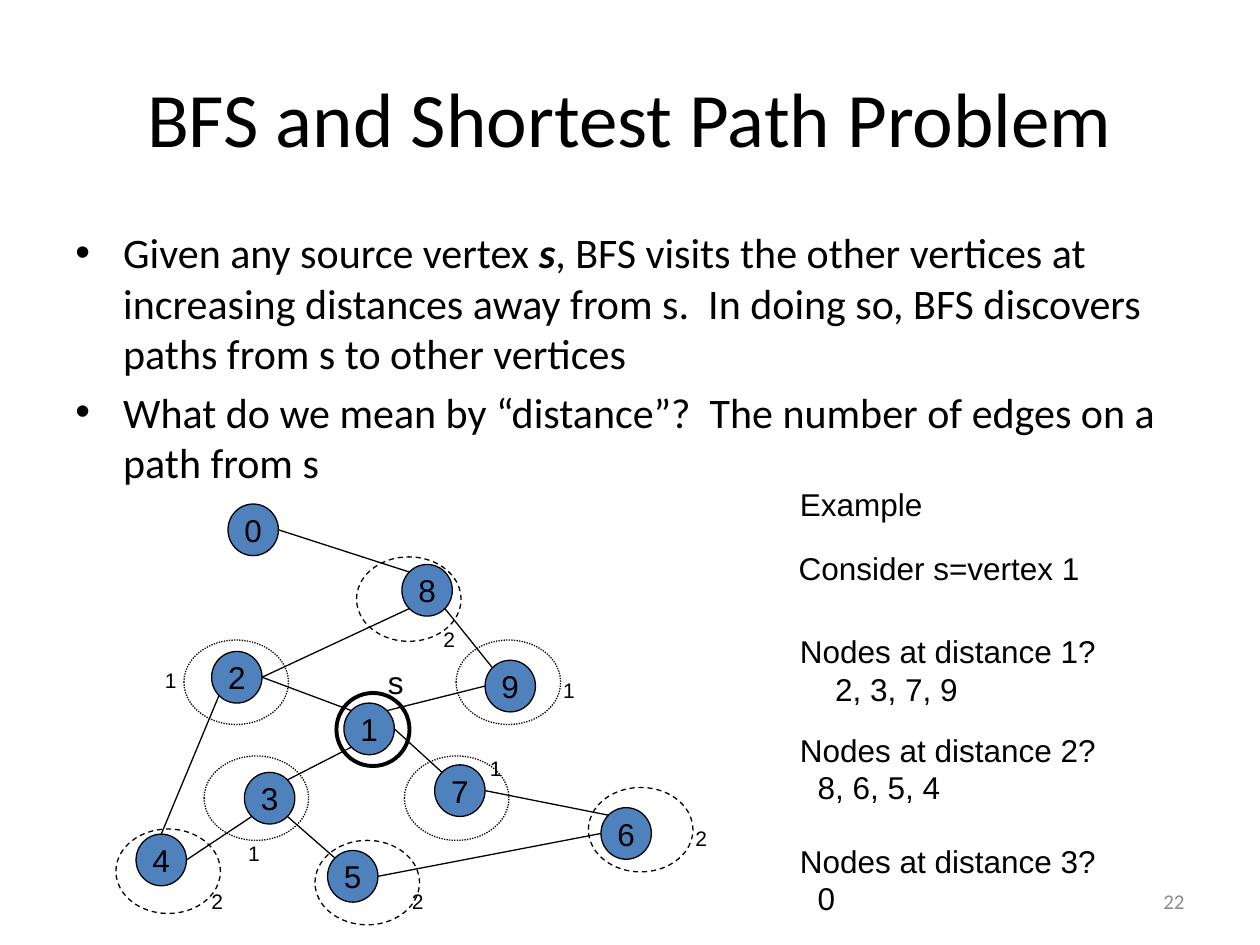
import dataclasses
import math

import lxml.etree
import pptx
import pptx.dml.color
import pptx.enum.dml
import pptx.enum.shapes
import pptx.enum.text
import pptx.oxml.ns
import pptx.util

Inches = pptx.util.Inches
Pt = pptx.util.Pt
Align = pptx.enum.text.PP_ALIGN
Anchor = pptx.enum.text.MSO_ANCHOR
Dash = pptx.enum.dml.MSO_LINE
qn = pptx.oxml.ns.qn


@dataclasses.dataclass(frozen=True)
class Theme:
    ink: str = "000000"
    node: str = "4F81BD"
    faint: str = "8C8C8C"
    head: str = "Calibri"
    plain: str = "Arial"
    title: float = 44
    body: float = 24
    note: float = 18
    small: float = 12
    thin: float = 0.75
    thick: float = 2.25


NODE_SIZE = (0.4, 0.41)
RING_SIZE = (0.83, 0.67)
NODES = {  # left and top of each vertex
    "2": (1.68, 5.17), "4": (1.08, 6.62), "3": (1.94, 6.13),
    "5": (2.6, 6.75), "1": (2.73, 5.58), "7": (3.45, 6.07),
    "6": (4.77, 6.41), "9": (3.85, 5.24), "8": (3.19, 4.48),
    "0": (1.81, 4),
}
ANGLES = {side: 45 * step for step, side in
          enumerate(("E", "SE", "S", "SW", "W", "NW", "N", "NE"))}
EDGES = (
    "0 E 8 NW", "8 SE 9 NW", "9 W 1 NE", "8 SW 2 E", "2 E 1 NW",
    "2 SW 4 N", "4 E 3 SW", "3 NE 1 SW", "3 SE 5 NW", "5 E 6 W",
    "1 E 7 NW", "7 E 6 NW",
)
LEVELS = (  # distance, dash, ring places, label places
    ("1", Dash.ROUND_DOT,
     ((1.46, 5.08), (1.62, 6), (3.21, 6), (3.62, 5.08)),
     ((4.37, 5.33), (3.79, 5.95), (1.21, 5.25), (1.87, 6.62))),
    ("2", Dash.DASH,
     ((2.83, 4.42), (0.92, 6.58), (2.5, 6.67), (4.67, 6.25)),
     ((5.42, 6.5), (3.17, 7), (1.58, 7), (3.42, 4.92))),
)
BULLETS = (
    ("Given any source vertex ", "s",
     ", BFS visits the other vertices at increasing distances away from s.  "
     "In doing so, BFS discovers paths from s to other vertices"),
    ("What do we mean by “distance”?  The number of edges on a path from s",),
)
NOTES = (  # left, top, width, height, lines, indent of second line
    (6.25, 3.8, 1.17, 0.4, ("Example",), 0),
    (6.24, 4.31, 2.43, 0.4, ("Consider s=vertex 1",), 0),
    (6.25, 4.97, 2.55, 0.7, ("Nodes at distance 1?", "2, 3, 7, 9"), 0.28),
    (6.25, 5.75, 2.55, 0.7, ("Nodes at distance 2?", "8, 6, 5, 4"), 0.14),
    (6.25, 6.63, 2.55, 0.7, ("Nodes at distance 3?", "0"), 0.14),
)


def rim(name, side):
    """Return the point on a vertex's outline that faces a compass side."""
    angle = math.radians(ANGLES[side])
    turn = (math.cos(angle), math.sin(angle))
    return [start + size / 2 * (1 + part)
            for start, size, part in zip(NODES[name], NODE_SIZE, turn)]


def indent(para, left, first=0):
    props = para._p.get_or_add_pPr()
    props.set("marL", str(Inches(left)))
    props.set("indent", str(Inches(first)))
    return props


class Deck:
    """Holds the theme, the slide and the shape tree that is being filled."""

    def __init__(self, theme):
        self.theme = theme
        self.file = pptx.Presentation()
        self.file.slide_width = Inches(10)
        self.file.slide_height = Inches(7.5)
        self.slide = self.file.slides.add_slide(self.file.slide_layouts[5])
        self.shapes = self.slide.shapes

    def group(self):
        """Send the next shapes to a new group."""
        self.shapes = self.slide.shapes.add_group_shape().shapes

    def leave(self):
        """Send the next shapes to the slide itself."""
        self.shapes = self.slide.shapes

    def style(self, frame, size, font, color=None, align=Align.LEFT):
        for para in frame.paragraphs:
            para.alignment = align
            for run in para.runs:
                run.font.size = Pt(size)
                run.font.name = font
                run.font.color.rgb = pptx.dml.color.RGBColor.from_string(
                    color or self.theme.ink)

    def stroke(self, shape, width, dash=None):
        shape.line.color.rgb = pptx.dml.color.RGBColor.from_string(
            self.theme.ink)
        shape.line.width = Pt(width)
        if dash:
            shape.line.dash_style = dash

    def title(self, text):
        box = self.slide.shapes.title
        box.left, box.top = Inches(0.5), Inches(0.3)
        box.width, box.height = Inches(9), Inches(1.25)
        box.text_frame.text = text
        box.text_frame.vertical_anchor = Anchor.MIDDLE
        self.style(box.text_frame, self.theme.title, self.theme.head,
                   align=Align.CENTER)

    def text(self, place, text, size, font, wrap=False, **look):
        box = self.shapes.add_textbox(*map(Inches, place))
        box.text_frame.word_wrap = wrap
        box.text_frame.text = text
        self.style(box.text_frame, size, font, **look)
        return box.text_frame

    def bullets(self, place, items):
        """Write bullets; the second part of an item is bold italic."""
        text = "\n".join("" for _ in items)
        frame = self.text(place, text, self.theme.body, self.theme.head, True)
        for para, parts in zip(frame.paragraphs, items):
            para.space_before = Pt(self.theme.body * 0.2)
            for spot, part in enumerate(parts):
                run = para.add_run()
                run.text = part
                if spot == 1:
                    run.font.bold = run.font.italic = True
            props = indent(para, 0.38, -0.38)
            lxml.etree.SubElement(props, qn("a:buFont"), typeface="Arial")
            lxml.etree.SubElement(props, qn("a:buChar"), char="•")
        self.style(frame, self.theme.body, self.theme.head)

    def ring(self, place, size, width, dash=None):
        ring = self.shapes.add_shape(
            pptx.enum.shapes.MSO_SHAPE.OVAL, *map(Inches, (*place, *size)))
        ring.shadow.inherit = False
        ring.fill.background()
        self.stroke(ring, width, dash)
        return ring

    def node(self, name, place):
        node = self.ring(place, NODE_SIZE, self.theme.thin)
        node.fill.solid()
        node.fill.fore_color.rgb = pptx.dml.color.RGBColor.from_string(
            self.theme.node)
        frame = node.text_frame
        frame.text = name
        frame.word_wrap = False
        frame.vertical_anchor = Anchor.MIDDLE
        self.style(frame, self.theme.note, self.theme.plain,
                   align=Align.CENTER)

    def edge(self, start, end):
        edge = self.shapes.add_connector(
            pptx.enum.shapes.MSO_CONNECTOR.STRAIGHT,
            *map(Inches, (*start, *end)))
        self.stroke(edge, self.theme.thin)
        lxml.etree.SubElement(edge._element.spPr, qn("a:effectLst"))


def main():
    theme = Theme()
    deck = Deck(theme)
    deck.title("BFS and Shortest Path Problem")
    deck.bullets((0.5, 1.75, 9, 4.95), BULLETS)

    deck.group()
    for name, place in NODES.items():
        deck.node(name, place)
    for edge in EDGES:
        start, leave, end, enter = edge.split()
        deck.edge(rim(start, leave), rim(end, enter))

    for label, dash, rings, spots in LEVELS:
        deck.group()
        for place in rings:
            deck.ring(place, RING_SIZE, theme.thin, dash)
        for spot in spots:
            deck.text((*spot, 0.29, 0.3), label, theme.small, theme.plain)

    deck.group()
    deck.ring((2.67, 5.5), (0.58, 0.58), theme.thick)
    deck.text((2.98, 5.21, 0.33, 0.4), "s", theme.note, theme.plain)

    deck.leave()
    for *place, lines, inset in NOTES:
        frame = deck.text(place, "\n".join(lines), theme.note, theme.plain)
        for para in frame.paragraphs[1:]:
            indent(para, inset)
    page = deck.text((7.17, 6.95, 2.33, 0.4), "22", theme.small, theme.head,
                     True, color=theme.faint, align=Align.RIGHT)
    page.vertical_anchor = Anchor.MIDDLE
    deck.file.save("out.pptx")


if __name__ == "__main__":
    main()
